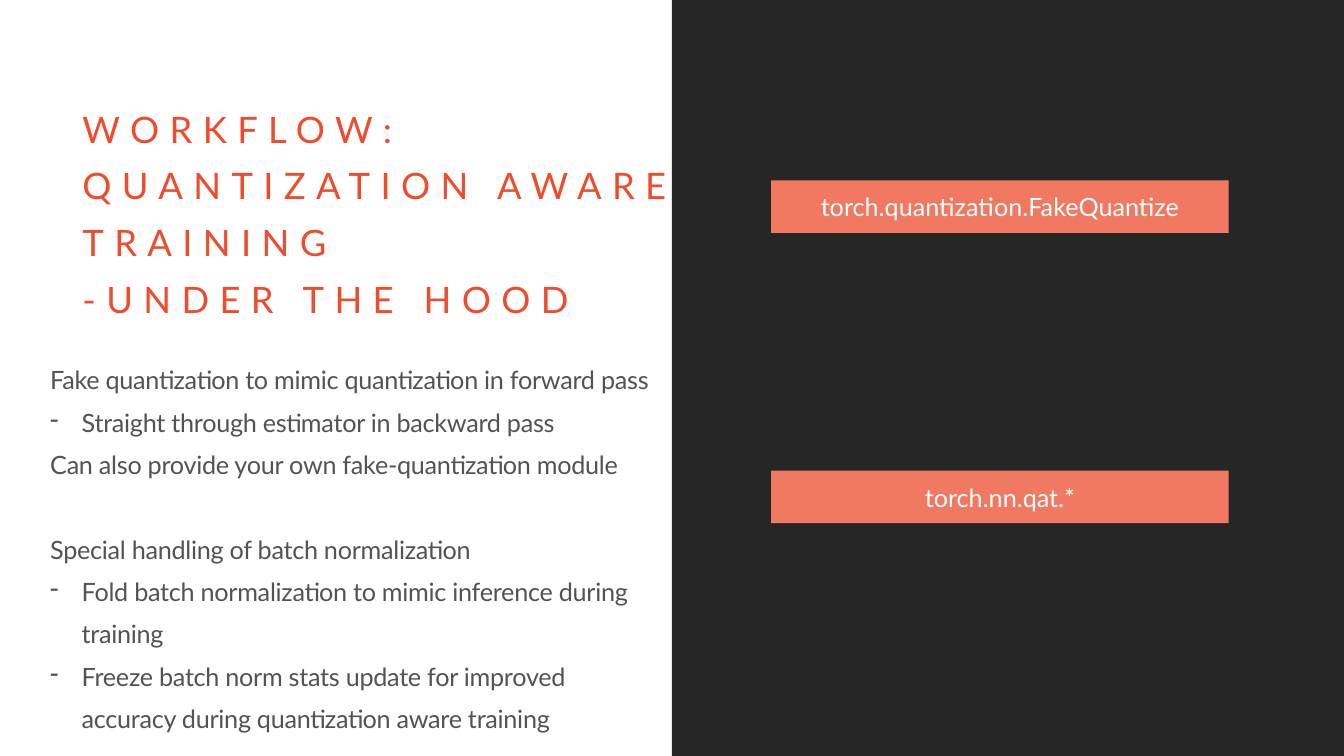
from dataclasses import dataclass

from pptx import Presentation
from pptx.dml.color import RGBColor
from pptx.enum.shapes import MSO_SHAPE
from pptx.enum.text import MSO_ANCHOR, PP_ALIGN
from pptx.oxml import parse_xml
from pptx.oxml.ns import nsdecls
from pptx.shapes.autoshape import Shape
from pptx.slide import Slide
from pptx.util import Pt

RECT = MSO_SHAPE.RECTANGLE
MIDDLE = MSO_ANCHOR.MIDDLE
TOP = MSO_ANCHOR.TOP
CENTER = PP_ALIGN.CENTER


@dataclass(frozen=True)
class Theme:
    font: str = "Lato"
    dark: str = "262626"
    title: str = "EE4C2C"
    body: str = "535353"
    label: str = "FFFFFF"
    box: str = "F27961"
    big: float = 26
    small: float = 18


@dataclass(frozen=True)
class Area:
    left: float
    top: float
    width: float
    height: float


@dataclass(frozen=True)
class Style:
    size: float
    color: str
    lines: float = 1.0
    track: float = 0


@dataclass(frozen=True)
class Line:
    text: str
    dash: bool = False
    gap: float = 0


THEME = Theme()
HEAD = Style(THEME.big, THEME.title, 1.3, 7.4)
BODY = Style(THEME.small, THEME.body, 1.4, -0.2)
LABEL = Style(THEME.small, THEME.label)

PANEL = Area(480, -6, 486, 552)
TITLE = Area(51.84, 63.36, 480.24, 168.48)
NOTES = Area(28.8, 248.4, 451.44, 279.36)
INDENT = 22.5
INSET = 3.6
BLANK = 30.24  # one body line: 18 pt × 1.2 × 1.4

HEADING = [
    Line("WORKFLOW: \vQUANTIZATION AWARE TRAINING"),
    Line("-UNDER THE HOOD"),
]
POINTS = [
    Line("Fake quantization to mimic quantization in forward pass"),
    Line("Straight through estimator in backward pass", dash=True),
    Line("Can also provide your own fake-quantization module"),
    Line("Special handling of batch normalization", gap=BLANK),
    Line("Fold batch normalization to mimic inference during training", dash=True),
    Line(
        "Freeze batch norm stats update for improved accuracy "
        "during quantization aware training",
        dash=True,
    ),
]
MODULES = [
    (Area(550.8, 128.88, 326.88, 37.44), "torch.quantization.FakeQuantize"),
    (Area(550.8, 336.24, 326.88, 37.44), "torch.nn.qat.*"),
]


def place(area: Area) -> tuple[Pt, Pt, Pt, Pt]:
    return Pt(area.left), Pt(area.top), Pt(area.width), Pt(area.height)


def write(shape: Shape, lines: list[Line], style: Style) -> None:
    """Fill the shape with one styled paragraph per line."""
    frame = shape.text_frame
    frame.word_wrap = True
    for index, line in enumerate(lines):
        para = frame.add_paragraph() if index else frame.paragraphs[0]
        para.text = line.text
        para.line_spacing = style.lines
        para.space_before = Pt(line.gap)
        para.font.name = THEME.font
        para.font.size = Pt(style.size)
        para.font.color.rgb = RGBColor.from_string(style.color)
        props = para._p.get_or_add_pPr()
        if style.track:
            for run in para.runs:
                run._r.get_or_add_rPr().set("spc", str(round(style.track * 100)))
        if line.dash:
            props.set("marL", str(Pt(INDENT)))
            props.set("indent", str(-Pt(INDENT)))
            mark = parse_xml(f'<a:buChar {nsdecls("a")} char="-"/>')
            props.insert_element_before(mark, "a:tabLst", "a:defRPr", "a:extLst")


def add_text(slide: Slide, area: Area, lines: list[Line], style: Style) -> None:
    box = slide.shapes.add_textbox(*place(area))
    box.text_frame.vertical_anchor = TOP
    write(box, lines, style)


def add_rect(slide: Slide, area: Area, color: str) -> Shape:
    rect = slide.shapes.add_shape(RECT, *place(area))
    rect.shadow.inherit = False
    rect.fill.solid()
    rect.fill.fore_color.rgb = RGBColor.from_string(color)
    rect.line.fill.background()
    return rect


def add_label(slide: Slide, area: Area, text: str) -> None:
    rect = add_rect(slide, area, THEME.box)
    frame = rect.text_frame
    frame.margin_left = frame.margin_right = Pt(INSET)
    frame.margin_top = frame.margin_bottom = Pt(INSET)
    frame.vertical_anchor = MIDDLE
    write(rect, [Line(text)], LABEL)
    frame.paragraphs[0].alignment = CENTER


def main() -> None:
    deck = Presentation()
    deck.slide_width = Pt(960)
    deck.slide_height = Pt(540)
    slide = deck.slides.add_slide(deck.slide_layouts[6])
    add_rect(slide, PANEL, THEME.dark)
    add_text(slide, TITLE, HEADING, HEAD)
    add_text(slide, NOTES, POINTS, BODY)
    for area, text in MODULES:
        add_label(slide, area, text)
    deck.save("out.pptx")


if __name__ == "__main__":
    main()
